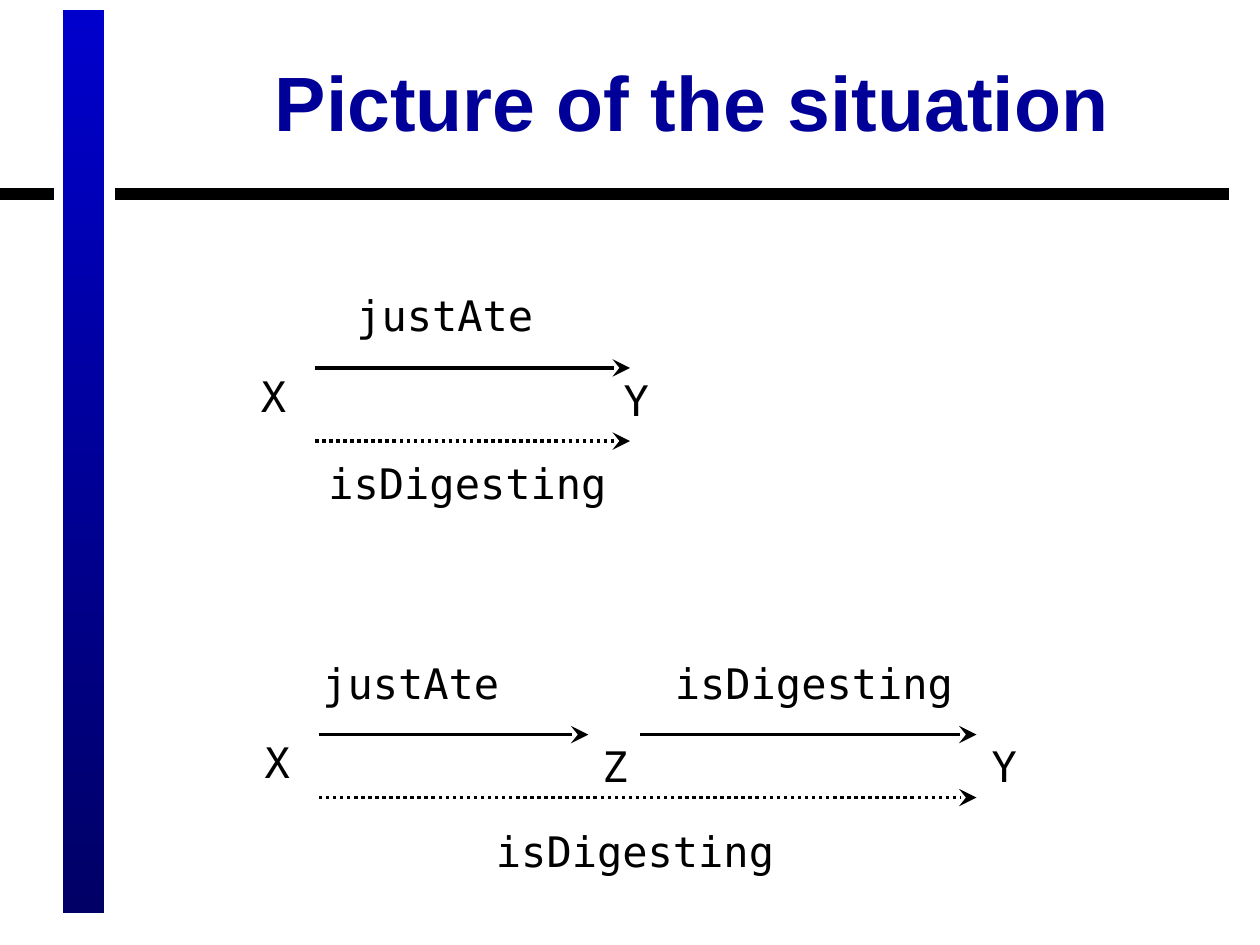
from lxml import etree
from pptx import Presentation
from pptx.dml.color import RGBColor
from pptx.enum.dml import MSO_LINE
from pptx.enum.shapes import MSO_CONNECTOR, MSO_SHAPE
from pptx.enum.text import MSO_ANCHOR, MSO_AUTO_SIZE, PP_ALIGN
from pptx.oxml.ns import qn
from pptx.util import Inches, Pt

RECTANGLE = MSO_SHAPE.RECTANGLE
STRAIGHT = MSO_CONNECTOR.STRAIGHT
DOTTED = MSO_LINE.ROUND_DOT  # written as sysDot
CENTER = PP_ALIGN.CENTER
TOP, MIDDLE = MSO_ANCHOR.TOP, MSO_ANCHOR.MIDDLE
FIT_TEXT = MSO_AUTO_SIZE.SHAPE_TO_FIT_TEXT

COLORS = {"black": "000000", "white": "FFFFFF", "title": "000099",
          "bar_top": "0000CC", "bar_bottom": "000066"}
TITLE_FONT, DIAGRAM_FONT = "Arial", "DejaVu Sans Mono"
TITLE = "Picture of the situation"
TITLE_BOX = (1.08, 0.17, 8.83, 1.25)

BAR = (0.5, 0.08, 0.33, 7.17)
RULES = [(0.92, 8.83), (0, 0.42)]  # left, width
RULE_TOP, RULE_HEIGHT = 1.5, 0.08

# Each label: text, centre x, top y
LABELS = [
    ("X", 2.17, 2.89), ("Y", 5.05, 2.92),
    ("justAte", 3.53, 2.25), ("isDigesting", 3.71, 3.58),
    ("X", 2.2, 5.8), ("Z", 4.88, 5.83), ("Y", 7.97, 5.83),
    ("justAte", 3.26, 5.17), ("isDigesting", 6.46, 5.17), ("isDigesting", 5.04, 6.5),
]
LABEL_HEIGHT = 0.5
CHARACTER_WIDTH, LABEL_PADDING = 0.2, 0.21

# Each arrow: start x, end x, y, inferred (dotted)
ARROWS = [
    (2.5, 5, 2.92, False), (2.5, 5, 3.5, True),
    (2.53, 4.67, 5.83, False), (5.08, 7.75, 5.83, False), (2.53, 7.75, 6.33, True),
]


def color(name):
    return RGBColor.from_string(COLORS[name])


def paint(shape, color_name):
    shape.fill.solid()
    shape.fill.fore_color.rgb = color(color_name)
    shape.line.color.rgb = color(color_name)
    shape.line.width = Pt(0.75)
    etree.SubElement(shape.element.spPr.find(qn("a:ln")), qn("a:miter"), lim="800000")


def add_rectangle(slide, box):
    rectangle = slide.shapes.add_shape(RECTANGLE, *map(Inches, box))
    rectangle.shadow.inherit = False
    return rectangle


def add_text(slide, text, box, font_name, size, color_name):
    text_box = slide.shapes.add_textbox(*map(Inches, box))
    frame = text_box.text_frame
    frame.word_wrap = False
    frame.auto_size = FIT_TEXT
    frame.vertical_anchor = TOP
    paragraph = frame.paragraphs[0]
    paragraph.text = text
    paragraph.alignment = CENTER
    font = paragraph.font
    font.name, font.size = font_name, Pt(size)
    font.color.rgb = color(color_name)
    return text_box


def add_title(slide):
    title = add_text(slide, TITLE, TITLE_BOX, TITLE_FONT, 44, "title")
    paint(title, "white")
    frame = title.text_frame
    frame.word_wrap = True
    frame.auto_size = MSO_AUTO_SIZE.NONE
    frame.vertical_anchor = MIDDLE
    frame.paragraphs[0].font.bold = True


def add_arrow(slide, start, end, y, inferred):
    arrow = slide.shapes.add_connector(
        STRAIGHT, Inches(start), Inches(y), Inches(end), Inches(y))
    arrow.line.color.rgb = color("black")
    arrow.line.width = Pt(2)
    if inferred:
        arrow.line.dash_style = DOTTED
    properties = arrow.element.spPr
    etree.SubElement(properties.find(qn("a:ln")), qn("a:tailEnd"),
                     type="stealth", w="lg", len="lg")
    etree.SubElement(properties, qn("a:effectLst"))


def main():
    deck = Presentation()
    deck.slide_width, deck.slide_height = Inches(10), Inches(7.5)
    slide = deck.slides.add_slide(deck.slide_layouts[6])

    # Gradient side bar
    bar = add_rectangle(slide, BAR)
    bar.line.fill.background()
    bar.fill.gradient()
    bar.fill.gradient_angle = 270
    for stop, name, position in zip(bar.fill.gradient_stops, ("bar_top", "bar_bottom"), (0, 1)):
        stop.color.rgb = color(name)
        stop.position = position

    # Rule under the title, broken by the bar
    for left, width in RULES:
        paint(add_rectangle(slide, (left, RULE_TOP, width, RULE_HEIGHT)), "black")

    add_title(slide)

    # Relations and their names
    for arrow in ARROWS:
        add_arrow(slide, *arrow)
    for text, center, top in LABELS:
        width = CHARACTER_WIDTH * len(text) + LABEL_PADDING
        add_text(slide, text, (center - width / 2, top, width, LABEL_HEIGHT),
                 DIAGRAM_FONT, 24, "black")

    deck.save("out.pptx")


if __name__ == "__main__":
    main()
